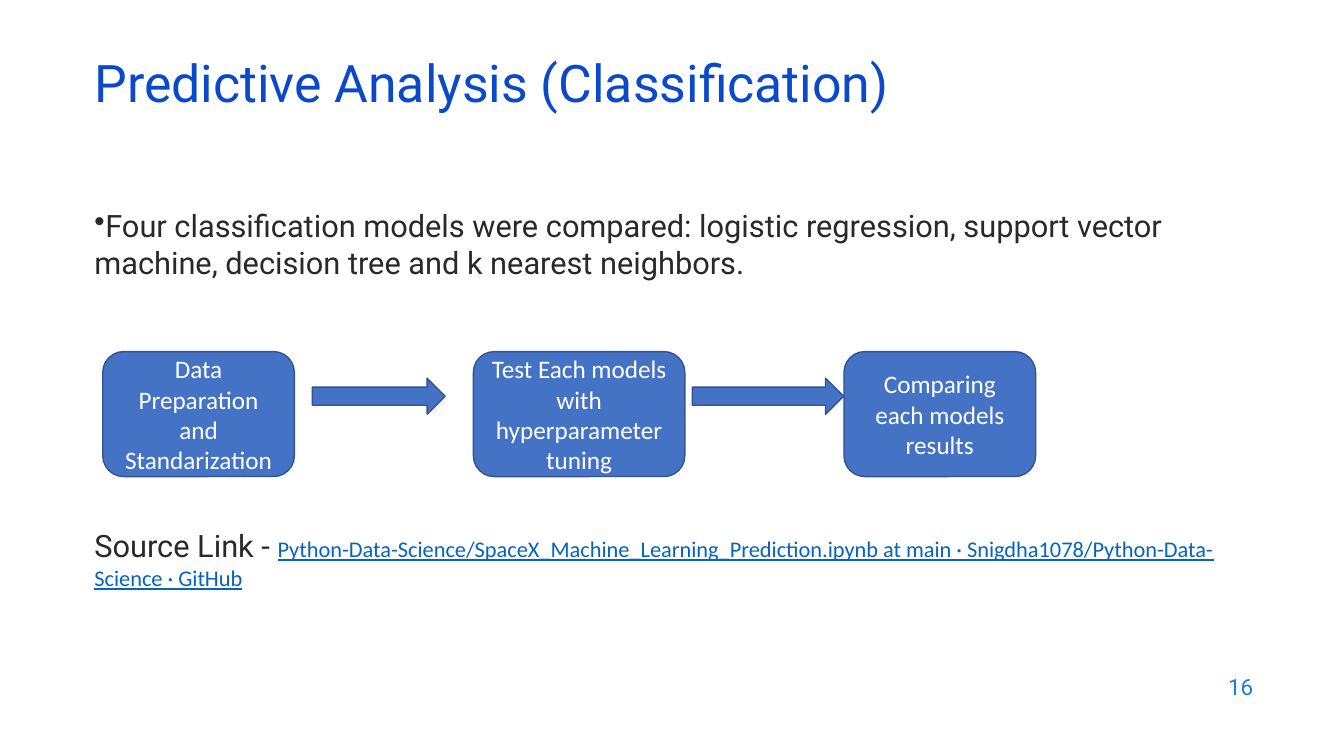
import pptx
import pptx.dml.color
import pptx.enum.shapes
import pptx.enum.text
import pptx.util
from lxml import etree

Cm = pptx.util.Cm
Pt = pptx.util.Pt
ALIGN = pptx.enum.text.PP_ALIGN
ANCHOR = pptx.enum.text.MSO_ANCHOR
SHAPE = pptx.enum.shapes.MSO_SHAPE

# Runs are (text, size, font, colour, underlined)
TITLE = [("Predictive Analysis (Classification)", 37, "Roboto", "0B49CB", False)]
SUMMARY = [("Four classification models were compared: logistic regression, support vector "
            "machine, decision tree and k nearest neighbors.", 22, "Roboto", "292929", False)]
LINK = [
    ("Source Link - ", 22, "Roboto", "292929", False),
    ("Python-Data-Science/SpaceX_Machine_Learning_Prediction.ipynb at main · "
     "Snigdha1078/Python-Data-Science · GitHub", 16, "Calibri", "0563C1", True),
]
PAGE_NUMBER = [("16", 16, "Roboto", "1C7DDB", False)]

# Steps are (text, width); arrows are (left, width), in centimetres
STEPS = [
    ("Data Preparation and Standarization", 4.83),
    ("Test Each models with hyperparameter tuning", 5.33),
    ("Comparing each models results", 4.83),
]
ARROWS = [(7.87, 3.35), (17.45, 3.81)]
STEP_LEFT, STEP_PITCH, STEP_TOP, STEP_HEIGHT = 2.59, 9.34, 8.86, 3.15
ARROW_TOP, ARROW_HEIGHT = 9.53, 0.91
MARGIN, BODY_WIDTH = 2.13, 29.69


def color(value):
    return pptx.dml.color.RGBColor.from_string(value)


def write(shape, runs, align=ALIGN.LEFT, anchor=ANCHOR.TOP, spacing=1.0, bullet=False):
    frame = shape.text_frame
    frame.word_wrap = True
    frame.vertical_anchor = anchor
    paragraph = frame.paragraphs[0]
    paragraph.alignment = align
    paragraph.line_spacing = spacing
    if bullet:
        properties = paragraph._p.get_or_add_pPr()
        properties.set("marL", "0")
        properties.set("indent", "0")
        mark = etree.SubElement(properties, pptx.oxml.ns.qn("a:buChar"))
        mark.set("char", "•")
    for text, size, font, hue, underlined in runs:
        run = paragraph.add_run()
        run.text = text
        run.font.size = Pt(size)
        run.font.name = font
        run.font.color.rgb = color(hue)
        run.font.underline = underlined


def add_text(slide, left, top, width, height, runs, **layout):
    box = slide.shapes.add_textbox(Cm(left), Cm(top), Cm(width), Cm(height))
    write(box, runs, **layout)


def add_block(slide, kind, left, top, width, height):
    """Add a blue outlined shape of the flow chart."""
    block = slide.shapes.add_shape(kind, Cm(left), Cm(top), Cm(width), Cm(height))
    block.shadow.inherit = False
    block.fill.solid()
    block.fill.fore_color.rgb = color("4472C4")
    block.line.color.rgb = color("325491")
    block.line.width = Pt(1)
    return block


def main():
    presentation = pptx.Presentation()
    presentation.slide_width = Cm(33.87)
    presentation.slide_height = Cm(19.05)
    slide = presentation.slides.add_slide(presentation.slide_layouts[6])

    add_text(slide, 24.21, 16.74, 7.62, 1.12, PAGE_NUMBER, align=ALIGN.RIGHT, anchor=ANCHOR.MIDDLE)
    add_text(slide, MARGIN, 5.08, BODY_WIDTH, 2.2, SUMMARY, bullet=True)
    add_text(slide, MARGIN, 13.16, BODY_WIDTH, 2.2, LINK)
    add_text(slide, MARGIN, 1.5, 29.21, 1.52, TITLE, anchor=ANCHOR.MIDDLE, spacing=0.7)

    for index, (text, width) in enumerate(STEPS):
        left = STEP_LEFT + index * STEP_PITCH
        step = add_block(slide, SHAPE.ROUNDED_RECTANGLE, left, STEP_TOP, width, STEP_HEIGHT)
        write(step, [(text, 18, "Calibri", "FFFFFF", False)],
              align=ALIGN.CENTER, anchor=ANCHOR.MIDDLE)
    for left, width in ARROWS:
        add_block(slide, SHAPE.RIGHT_ARROW, left, ARROW_TOP, width, ARROW_HEIGHT)

    presentation.save("out.pptx")


if __name__ == "__main__":
    main()
